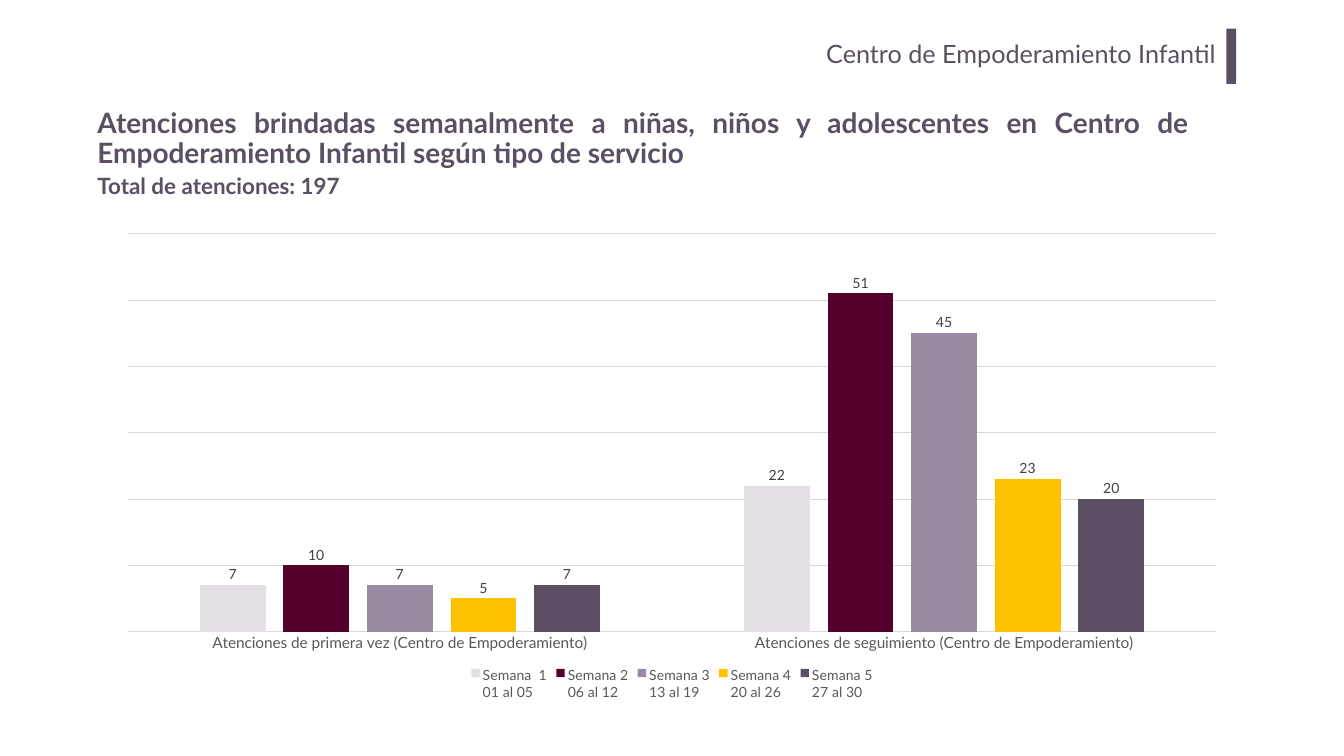
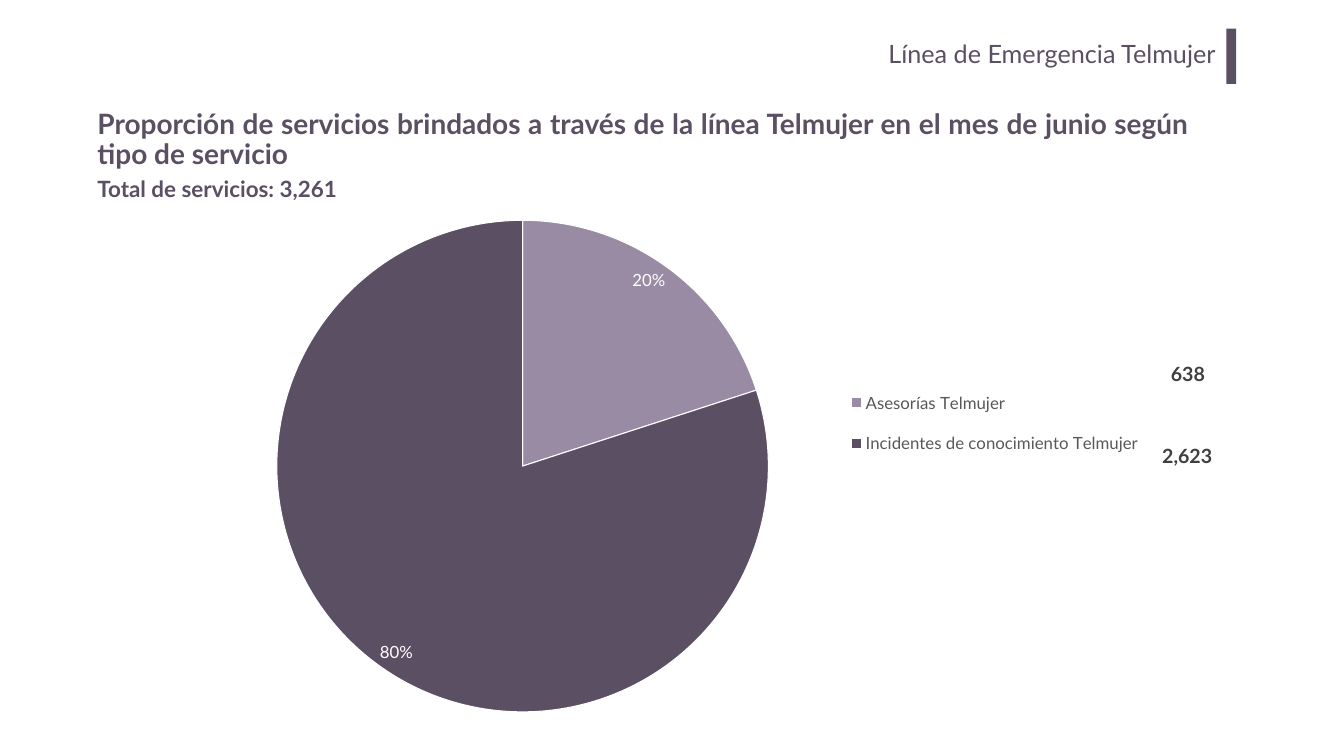
"""Build two slides on weekly care services and emergency line services."""
from dataclasses import dataclass

from lxml import etree
from pptx import Presentation
from pptx.chart.data import CategoryChartData
from pptx.dml.color import RGBColor as Rgb
from pptx.enum.chart import XL_CHART_TYPE as ChartType
from pptx.enum.chart import XL_LABEL_POSITION as LabelPosition
from pptx.enum.chart import XL_LEGEND_POSITION as LegendPosition
from pptx.enum.chart import XL_TICK_MARK as TickMark
from pptx.enum.shapes import MSO_SHAPE as Shape
from pptx.enum.text import MSO_ANCHOR as Anchor
from pptx.enum.text import MSO_AUTO_SIZE as AutoSize
from pptx.enum.text import PP_ALIGN as Align
from pptx.oxml.ns import qn
from pptx.util import Pt


@dataclass(frozen=True)
class Theme:
    font: str = "Lato"
    plum: Rgb = Rgb(0x5B, 0x4F, 0x63)
    mauve: Rgb = Rgb(0x99, 0x8B, 0xA3)
    mist: Rgb = Rgb(0xE3, 0xDF, 0xE5)
    wine: Rgb = Rgb(0x54, 0x00, 0x2A)
    gold: Rgb = Rgb(0xFF, 0xC0, 0x00)
    white: Rgb = Rgb(0xFF, 0xFF, 0xFF)
    dark: Rgb = Rgb(0x40, 0x40, 0x40)
    gray: Rgb = Rgb(0x59, 0x59, 0x59)
    rule: Rgb = Rgb(0xD9, 0xD9, 0xD9)
    section: int = 36
    title: int = 40
    total: int = 32
    count: int = 28
    pie: int = 24
    axis: int = 22
    column: int = 20


theme = Theme()


def style_font(font, size, color, bold=False):
    font.name = theme.font
    font.size = Pt(size)
    font.color.rgb = color
    font.bold = bold


def place_part(part, index, kind, x, y, w, h):
    old = part.find(qn("c:layout"))
    if old is not None:
        part.remove(old)
    layout = etree.Element(qn("c:layout"))
    manual = etree.SubElement(layout, qn("c:manualLayout"))
    settings = [("xMode", "edge"), ("yMode", "edge"), ("x", x), ("y", y), ("w", w), ("h", h)]
    if kind == "plot":
        settings.insert(0, ("layoutTarget", "inner"))
    for name, value in settings:
        etree.SubElement(manual, qn(f"c:{name}")).set("val", str(value))
    part.insert(index, layout)


deck = Presentation()
deck.slide_width, deck.slide_height = Pt(1920), Pt(1080)

pages = [
    ("Centro de Empoderamiento Infantil",
     "Atenciones brindadas semanalmente a niñas, niños y adolescentes en Centro de "
     "Empoderamiento Infantil según tipo de servicio",
     "Total de atenciones: 197", 147, 242),
    ("Línea de Emergencia Telmujer",
     "Proporción de servicios brindados a través de la línea Telmujer en el mes de junio "
     "según tipo de servicio",
     "Total de servicios: 3,261", 149, 247),
]
slides = []
for section, headline, total, title_top, total_top in pages:
    slide = deck.slides.add_slide(deck.slide_layouts[5])
    slides.append(slide)

    box = slide.shapes.add_textbox(Pt(289), Pt(48), Pt(1462), Pt(73))
    frame = box.text_frame
    frame.word_wrap = True
    frame.margin_left = frame.margin_right = Pt(14.4)
    frame.margin_top = frame.margin_bottom = Pt(7.2)
    frame.text = section
    frame.paragraphs[0].alignment = Align.RIGHT
    style_font(frame.paragraphs[0].runs[0].font, theme.section, theme.plum)

    bar = slide.shapes.add_shape(Shape.RECTANGLE, Pt(1752), Pt(41), Pt(14), Pt(79))
    bar.shadow.inherit = False
    bar.fill.solid()
    bar.fill.fore_color.rgb = theme.plum
    bar.line.fill.background()

    title = slide.shapes.title
    title.left, title.top, title.width, title.height = Pt(132), Pt(title_top), Pt(1573), Pt(104)
    frame = title.text_frame
    frame.text = headline
    frame.word_wrap = True
    frame.auto_size = AutoSize.NONE
    frame.vertical_anchor = Anchor.MIDDLE
    para = frame.paragraphs[0]
    para.alignment = Align.JUSTIFY
    para.line_spacing = 0.9
    para.space_before = Pt(0)
    style_font(para.runs[0].font, theme.title, theme.plum, True)

    box = slide.shapes.add_textbox(Pt(132), Pt(total_top), Pt(406), Pt(46))
    frame = box.text_frame
    frame.word_wrap = True
    frame.auto_size = AutoSize.SHAPE_TO_FIT_TEXT
    frame.text = total
    style_font(frame.paragraphs[0].runs[0].font, theme.total, theme.plum, True)

care_slide, line_slide = slides

weeks = [
    ("Semana  1\n01 al 05", (7, 22), theme.mist),
    ("Semana 2\n06 al 12", (10, 51), theme.wine),
    ("Semana 3\n13 al 19", (7, 45), theme.mauve),
    ("Semana 4\n20 al 26", (5, 23), theme.gold),
    ("Semana 5\n27 al 30", (7, 20), theme.plum),
]
care_data = CategoryChartData()
care_data.categories = [
    "Atenciones de primera vez (Centro de Empoderamiento)",
    "Atenciones de seguimiento (Centro de Empoderamiento)",
]
for name, values, color in weeks:
    care_data.add_series(name, values)
care_chart = care_slide.shapes.add_chart(
    ChartType.COLUMN_CLUSTERED, Pt(150), Pt(320), Pt(1620), Pt(685), care_data).chart

line_data = CategoryChartData()
line_data.categories = ["Asesorías Telmujer", "Incidentes de conocimiento Telmujer"]
line_data.add_series("Servicios", (20, 80))
line_chart = line_slide.shapes.add_chart(
    ChartType.PIE, Pt(271.5), Pt(307), Pt(1377), Pt(725), line_data).chart

for chart, position, size in [
    (care_chart, LegendPosition.BOTTOM, theme.column),
    (line_chart, LegendPosition.RIGHT, theme.pie),
]:
    chart.has_title = False
    style_font(chart.font, size, theme.gray)
    chart.has_legend = True
    chart.legend.position = position
    chart.legend.include_in_layout = False
    style_font(chart.legend.font, size, theme.gray)

plot = care_chart.plots[0]
plot.vary_by_categories = False
plot.gap_width = 219
plot.overlap = -27
for series, (name, values, color) in zip(plot.series, weeks):
    series.format.fill.solid()
    series.format.fill.fore_color.rgb = color
    labels = series.data_labels
    labels.show_value = True
    labels.position = LabelPosition.OUTSIDE_END
    style_font(labels.font, theme.column, theme.dark)
category_axis, value_axis = care_chart.category_axis, care_chart.value_axis
category_axis.major_tick_mark = TickMark.NONE
style_font(category_axis.tick_labels.font, theme.axis, theme.gray)
value_axis.visible = False
value_axis.minimum_scale, value_axis.maximum_scale, value_axis.major_unit = 0, 60, 10
value_axis.has_major_gridlines = True
for line in (category_axis.format.line, value_axis.major_gridlines.format.line):
    line.color.rgb = theme.rule
    line.width = Pt(0.75)
place_part(care_chart.plots[0]._element.getparent(), 0, "plot", 0.02, 0.02, 0.96, 0.83)

plot = line_chart.plots[0]
plot.vary_by_categories = True
series = plot.series[0]
for index, color in enumerate((theme.mauve, theme.plum)):
    slice_format = series.points[index].format
    slice_format.fill.solid()
    slice_format.fill.fore_color.rgb = color
    slice_format.line.color.rgb = theme.white
    slice_format.line.width = Pt(1.5)
labels = series.data_labels
labels.show_value = False
labels.show_percentage = True
labels.number_format = "0%"
labels.number_format_is_linked = False
labels.position = LabelPosition.INSIDE_END
style_font(labels.font, theme.pie, theme.white)
place_part(plot._element.getparent(), 0, "plot", 0.09, 0.01, 0.51, 0.97)
place_part(line_chart.legend._element, 1, "legend", 0.68, 0.31, 0.31, 0.2)

for count, left, top, width in [("638", 1659, 513, 76), ("2,623", 1642, 631, 108)]:
    box = line_slide.shapes.add_textbox(Pt(left), Pt(top), Pt(width), Pt(37))
    frame = box.text_frame
    frame.word_wrap = True
    frame.text = count
    frame.paragraphs[0].alignment = Align.CENTER
    style_font(frame.paragraphs[0].runs[0].font, theme.count, theme.dark, True)

deck.save("out.pptx")
